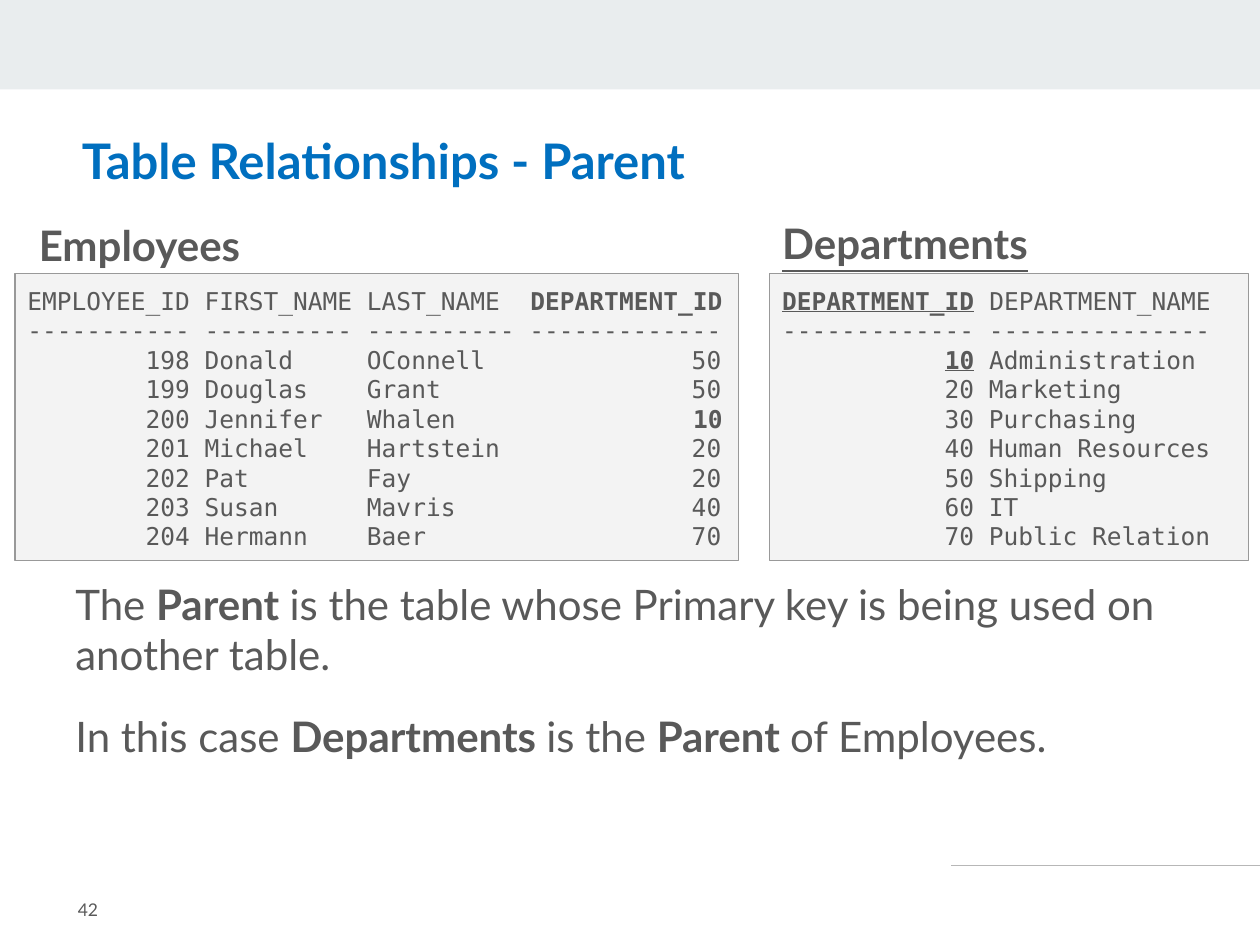
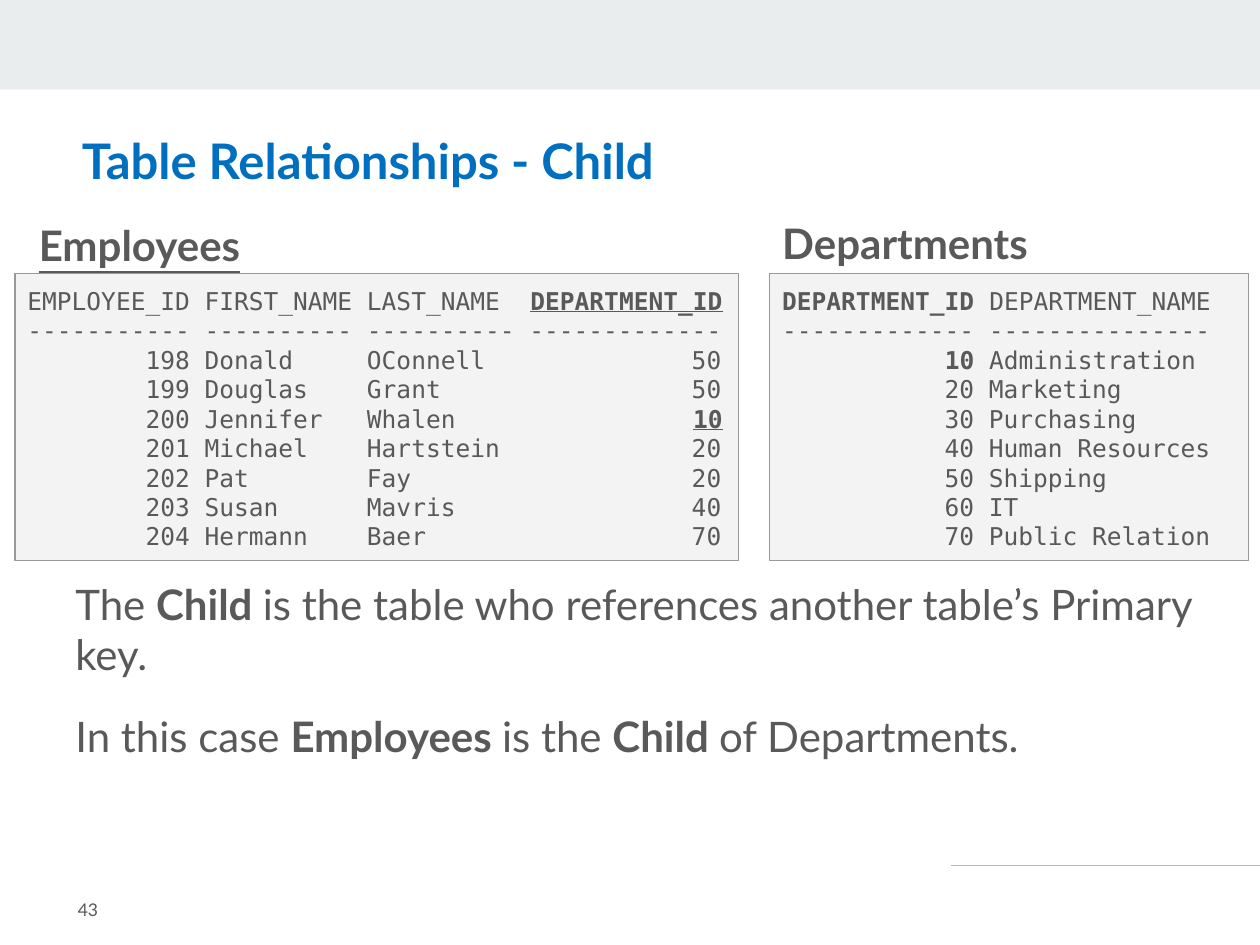
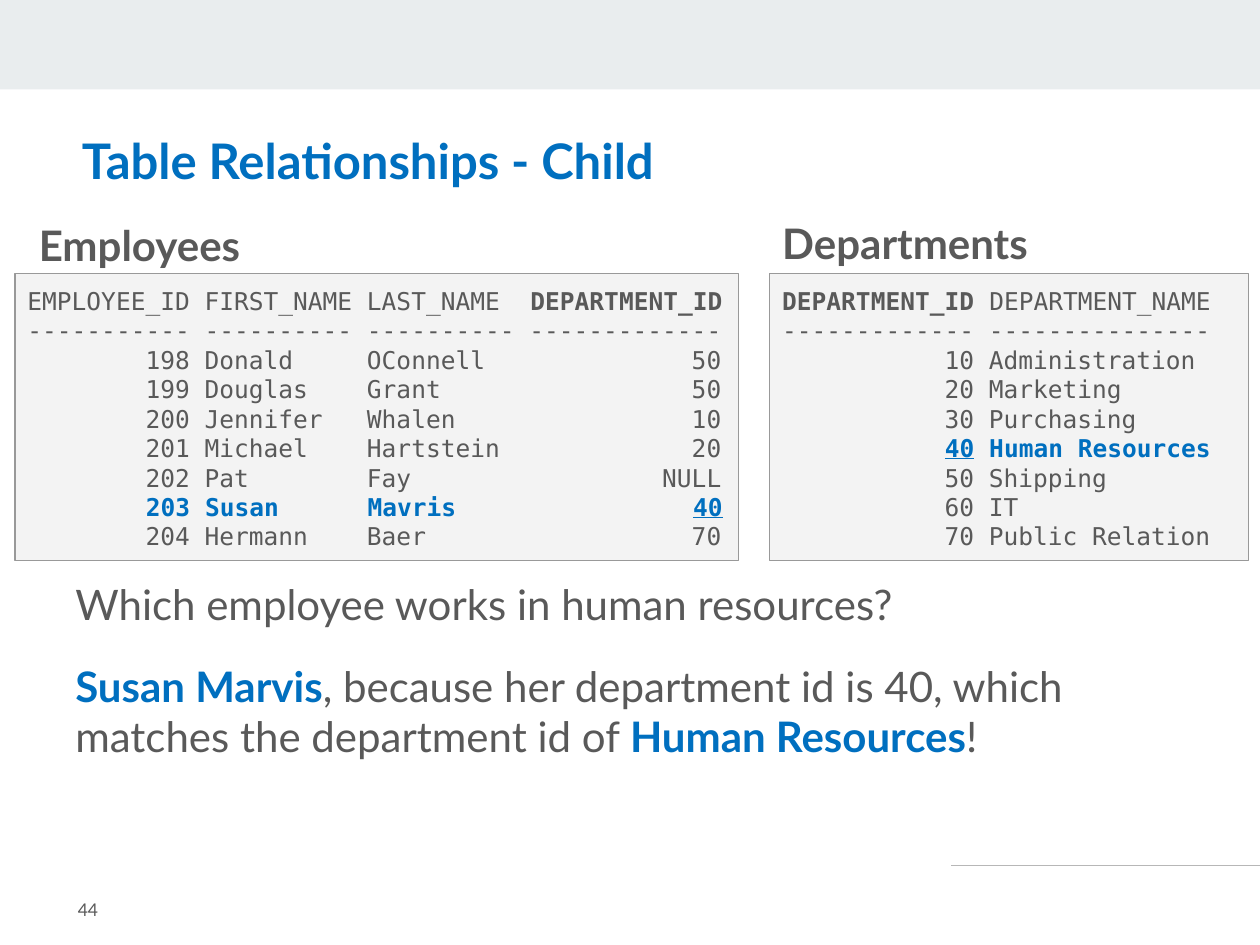
from itertools import groupby

from lxml import etree
from pptx import Presentation
from pptx import util as u
from pptx.dml.color import RGBColor
from pptx.enum import shapes, text
from pptx.oxml import ns

INK, ACCENT = "595959", "006FBF"
PANEL, PANEL_EDGE = "F3F3F3", "999999"
BAND, RULE = "E9EDEE", "B7B7B7"
SANS, MONO = "Lato", "DejaVu Sans Mono"
FIRST_NUMBER = 42

EMPLOYEE_COLUMNS = [("EMPLOYEE_ID", 11, ">"), ("FIRST_NAME", 10, "<"),
                    ("LAST_NAME", 10, "<"), ("DEPARTMENT_ID", 13, ">")]
EMPLOYEES = [
    ("198", "Donald", "OConnell", "50"),
    ("199", "Douglas", "Grant", "50"),
    ("200", "Jennifer", "Whalen", "10"),
    ("201", "Michael", "Hartstein", "20"),
    ("202", "Pat", "Fay", "20"),
    ("203", "Susan", "Mavris", "40"),
    ("204", "Hermann", "Baer", "70"),
]
EMPLOYEES_WITH_NULL = [row[:3] + ("NULL",) if row[0] == "202" else row
                       for row in EMPLOYEES]
DEPARTMENT_COLUMNS = [("DEPARTMENT_ID", 13, ">"), ("DEPARTMENT_NAME", 15, "<")]
DEPARTMENTS = [
    ("10", "Administration"),
    ("20", "Marketing"),
    ("30", "Purchasing"),
    ("40", "Human Resources"),
    ("50", "Shipping"),
    ("60", "IT"),
    ("70", "Public Relation"),
]

# Style letters: b bold, u underlined, a accent colour.
SLIDES = [
    {
        "title": "Table Relationships - Parent",
        "heads": ("b", "bu"),
        "employees": EMPLOYEES,
        "employee_marks": {("EMPLOYEE_ID", 3): "b", ("200", 3): "b"},
        "department_marks": {("DEPARTMENT_ID", 0): "bu", ("10", 0): "bu"},
        "body": [
            [("The ", ""), ("Parent ", "b"),
             ("is the table whose Primary key is being used on another table.", "")],
            [("In this case ", ""), ("Departments ", "b"), ("is the ", ""),
             ("Parent ", "b"), ("of Employees.", "")],
        ],
    },
    {
        "title": "Table Relationships - Child",
        "heads": ("bu", "b"),
        "employees": EMPLOYEES,
        "employee_marks": {("EMPLOYEE_ID", 3): "bu", ("200", 3): "bu"},
        "department_marks": {("DEPARTMENT_ID", 0): "b", ("10", 0): "b"},
        "body": [
            [("The ", ""), ("Child ", "b"),
             ("is the table who references another table’s Primary key.", "")],
            [("In this case ", ""), ("Employees ", "b"), ("is the ", ""),
             ("Child ", "b"), ("of Departments.", "")],
        ],
    },
    {
        "title": "Table Relationships - Child",
        "heads": ("b", "b"),
        "employees": EMPLOYEES_WITH_NULL,
        "employee_marks": {("EMPLOYEE_ID", 3): "b", ("203", 0): "ba", ("203", 1): "ba",
                           ("203", 2): "ba", ("203", 3): "bua"},
        "department_marks": {("DEPARTMENT_ID", 0): "b", ("40", 0): "bua", ("40", 1): "ba"},
        "body": [
            [("Which employee works in human resources?", "")],
            [("Susan Marvis", "ba"),
             (", because her department id is 40, which matches the department id of ", ""),
             ("Human Resources", "ba"), ("!", "")],
        ],
    },
]


def color(value):
    return RGBColor.from_string(value)


def inches(*values):
    return [u.Inches(v) for v in values]


def listing(columns, rows, marks):
    names = tuple(name for name, _, _ in columns)
    dashes = tuple("-" * width for _, width, _ in columns)
    lines = []
    for row in [names, dashes, *rows]:
        pieces = []
        for i, (value, (_, width, align)) in enumerate(zip(row, columns)):
            pad = " " * (width - len(value))
            cell = [(value, marks.get((row[0], i), ""))]
            pieces += [(pad, "")] + cell if align == ">" else cell + [(pad, "")]
            pieces.append((" ", ""))
        while not pieces[-1][0].strip():
            pieces.pop()
        pieces = [piece for piece in pieces if piece[0]]
        lines.append([("".join(t for t, _ in group), style)
                      for style, group in groupby(pieces, key=lambda piece: piece[1])])
    return lines


def write(tf, paragraphs, size, font=SANS, inset=0.05, anchor="TOP",
          gap=0, spacing=None):
    tf.word_wrap = True
    tf.auto_size = text.MSO_AUTO_SIZE.NONE
    tf.vertical_anchor = text.MSO_ANCHOR[anchor]
    tf.margin_left = tf.margin_right = u.Inches(0.1)
    tf.margin_top = tf.margin_bottom = u.Inches(inset)
    for i, runs in enumerate(paragraphs):
        p = tf.add_paragraph() if i else tf.paragraphs[0]
        p.alignment = text.PP_ALIGN.LEFT
        p.space_before = u.Pt(gap if i else 0)
        if spacing:
            p.line_spacing = spacing
        for words, style in runs:
            r = p.add_run()
            r.text = words
            r.font.name, r.font.size = font, u.Pt(size)
            r.font.bold, r.font.underline = "b" in style, "u" in style
            r.font.color.rgb = color(ACCENT if "a" in style else INK)


def add_rect(s, at, fill, edge=None):
    sp = s.shapes.add_shape(shapes.MSO_SHAPE.RECTANGLE, *inches(*at))
    sp.shadow.inherit = False
    sp.fill.solid()
    sp.fill.fore_color.rgb = color(fill)
    if edge:
        sp.line.color.rgb = color(edge)
        sp.line.width = u.Pt(0.75)
    else:
        sp.line.fill.background()
    return sp


def add_text(s, at, paragraphs, size, **options):
    write(s.shapes.add_textbox(*inches(*at)).text_frame, paragraphs, size, **options)


def add_frame(s, title, number):
    add_rect(s, (0, 0, 10, 0.71), BAND)
    rule = s.shapes.add_connector(shapes.MSO_CONNECTOR.STRAIGHT,
                                  *inches(7.55, 6.87, 10, 6.87))
    rule.line.color.rgb = color(RULE)
    rule.line.width = u.Pt(0.75)
    etree.SubElement(rule._element.spPr, ns.qn("a:effectLst"))
    sp = s.shapes.title
    sp.left, sp.top, sp.width, sp.height = inches(0.55, 1.04, 7.88, 0.55)
    write(sp.text_frame, [[(title, "ba")]], 28, spacing=0.9)
    add_text(s, (0.52, 6.93, 1.23, 0.57), [[(str(number), "")]], 10,
             inset=0.1, anchor="MIDDLE")


def add_listing(s, left, width, lines):
    sp = add_rect(s, (left, 2.17, width, 2.28), PANEL, PANEL_EDGE)
    write(sp.text_frame, lines, 14, font=MONO, inset=0.1, spacing=u.Pt(16.8))


def main():
    prs = Presentation()
    prs.slide_width, prs.slide_height = inches(10, 7.5)
    for number, content in enumerate(SLIDES, FIRST_NUMBER):
        s = prs.slides.add_slide(prs.slide_layouts[5])
        add_frame(s, content["title"], number)
        add_text(s, (0.5, 4.54, 9.14, 2.09), content["body"], 24, gap=18)
        add_listing(s, 6.11, 3.8, listing(DEPARTMENT_COLUMNS, DEPARTMENTS,
                                          content["department_marks"]))
        add_listing(s, 0.12, 5.74, listing(EMPLOYEE_COLUMNS, content["employees"],
                                           content["employee_marks"]))
        employee_head, department_head = content["heads"]
        add_text(s, (0.21, 1.69, 2.38, 0.39), [[("Employees", employee_head)]], 24)
        add_text(s, (6.11, 1.68, 2.38, 0.39), [[("Departments", department_head)]], 24)
    prs.save("out.pptx")


if __name__ == "__main__":
    main()
